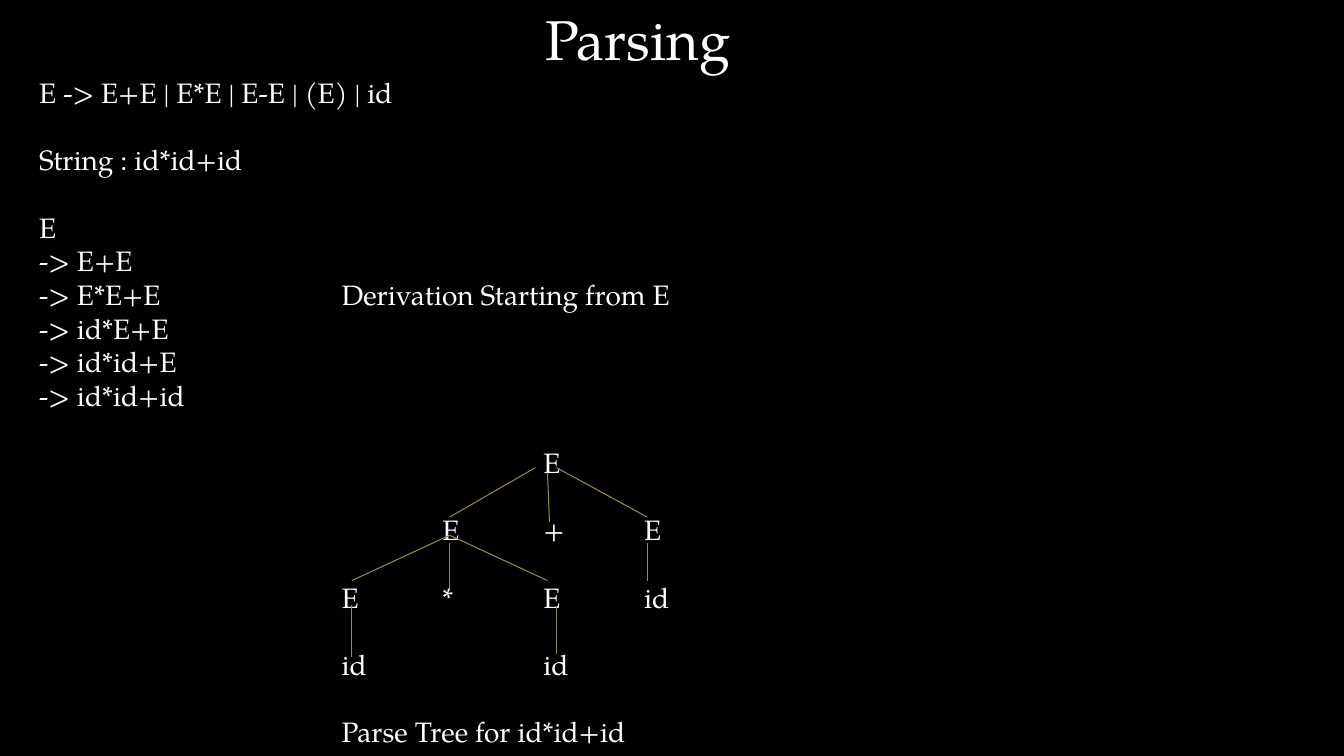
from dataclasses import dataclass

from lxml import etree
from pptx import Presentation
from pptx.dml.color import RGBColor
from pptx.enum.shapes import MSO_CONNECTOR
from pptx.enum.text import MSO_AUTO_SIZE
from pptx.oxml.ns import qn
from pptx.util import Inches, Pt

STRAIGHT = MSO_CONNECTOR.STRAIGHT
GROW = MSO_AUTO_SIZE.SHAPE_TO_FIT_TEXT


@dataclass(frozen=True)
class Theme:
    font: str = "TeX Gyre Pagella"
    back: RGBColor = RGBColor(0, 0, 0)
    ink: RGBColor = RGBColor(255, 255, 255)
    edge: RGBColor = RGBColor(0x99, 0x89, 0x46)
    title: int = 40
    body: int = 20
    gap: float = 24.1
    line: float = 0.75
    stops: range = range(1, 7)


class Deck:
    def __init__(self, theme):
        self.theme = theme
        self.file = Presentation()
        self.file.slide_width = Inches(13.33)
        self.file.slide_height = Inches(7.5)
        self.slide = self.file.slides.add_slide(self.file.slide_layouts[6])
        fill = self.slide.background.fill
        fill.solid()
        fill.fore_color.rgb = theme.back

    def text(self, x, y, w, h, rows, size):
        box = self.slide.shapes.add_textbox(*map(Inches, (x, y, w, h)))
        frame = box.text_frame
        frame.word_wrap = True
        frame.auto_size = GROW
        frame.text = "\n".join(words for words, _ in rows)
        for para, (words, gap) in zip(frame.paragraphs, rows):
            if gap:
                para.space_before = Pt(self.theme.gap)
            if "\t" in words:
                self.tabs(para)
            for run in para.runs:
                run.font.name = self.theme.font
                run.font.size = Pt(size)
                run.font.color.rgb = self.theme.ink

    def tabs(self, para):
        tabs = etree.SubElement(para._p.get_or_add_pPr(), qn("a:tabLst"))
        for stop in self.theme.stops:
            etree.SubElement(tabs, qn("a:tab"), pos=str(Inches(stop)), algn="l")

    def edge(self, *ends):
        line = self.slide.shapes.add_connector(STRAIGHT, *map(Inches, ends))
        line.line.color.rgb = self.theme.edge
        line.line.width = Pt(self.theme.line)
        etree.SubElement(line._element.spPr, qn("a:effectLst"))

    def save(self):
        self.file.save("out.pptx")


ROWS = [
    ("E -> E+E | E*E | E-E | (E) | id", False),
    ("String : id*id+id", True),
    ("E", True),
    ("-> E+E", False),
    ("-> E*E+E\t\tDerivation Starting from E", False),
    ("-> id*E+E", False),
    ("-> id*id+E", False),
    ("-> id*id+id", False),
    ("\t\t\t\t\tE", True),
    ("\t\t\t\tE\t+\tE", True),
    ("\t\t\tE\t*\tE\tid", True),
    ("\t\t\tid\t\tid", True),
    ("\t\t\tParse Tree for id*id+id", True),
]

EDGES = [
    (5.31, 4.64, 4.46, 5.13),
    (5.43, 4.69, 5.45, 5.18),
    (5.52, 4.64, 6.42, 5.13),
    (4.46, 5.31, 3.49, 5.76),
    (4.46, 5.39, 4.46, 5.84),
    (4.46, 5.31, 5.43, 5.76),
    (3.49, 6, 3.49, 6.52),
    (5.52, 6.01, 5.52, 6.49),
    (6.42, 5.39, 6.42, 5.76),
]


def main():
    theme = Theme()
    deck = Deck(theme)
    deck.text(0.29, 0.7, 12, 6.83, ROWS, theme.body)
    deck.text(5.31, 0, 2.16, 0.77, [("Parsing", False)], theme.title)
    for ends in EDGES:
        deck.edge(*ends)
    deck.save()


if __name__ == "__main__":
    main()
